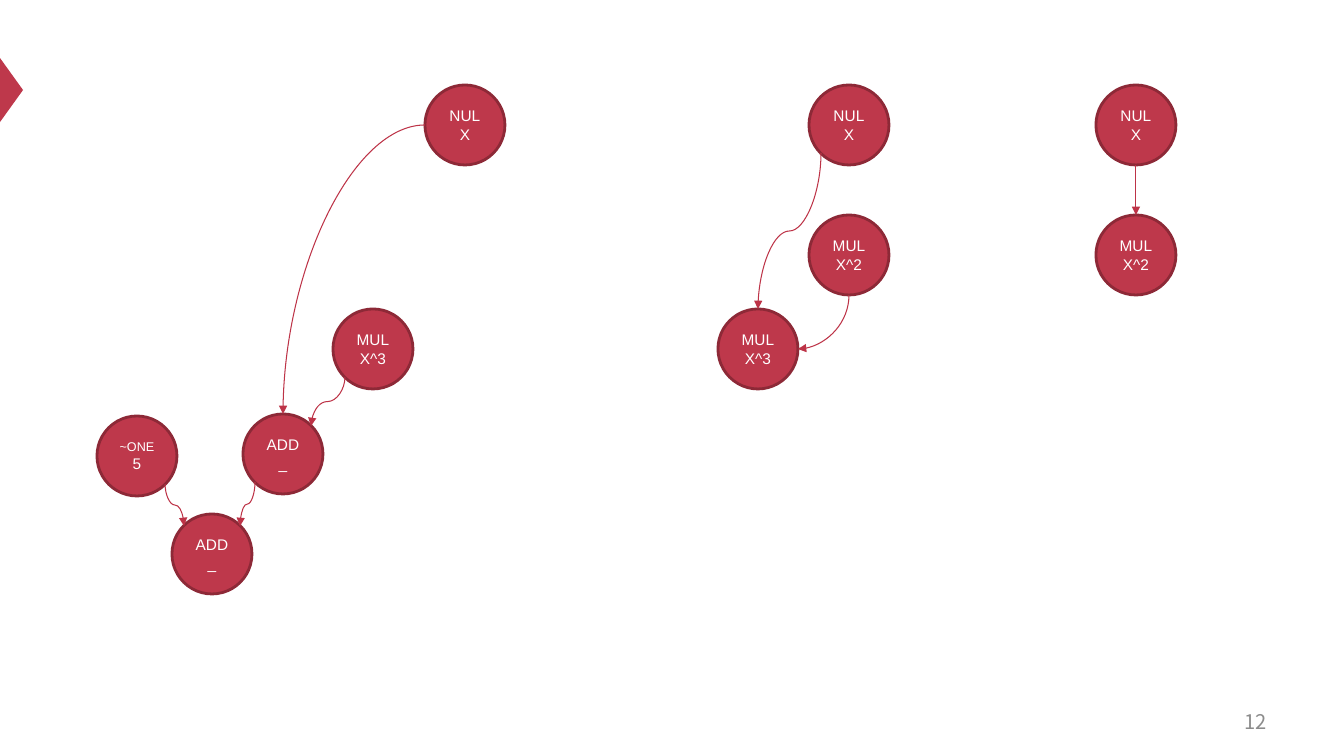
from dataclasses import dataclass

from lxml.etree import SubElement
from pptx import Presentation
from pptx.dml.color import RGBColor
from pptx.enum.shapes import MSO_CONNECTOR, MSO_SHAPE
from pptx.enum.text import MSO_ANCHOR, PP_ALIGN
from pptx.oxml.ns import qn
from pptx.util import Emu, Pt


@dataclass(frozen=True)
class Theme:
    node: str = "BE384B"
    rim: str = "8D2937"
    edge: str = "BD3347"
    label: str = "FFFFFF"
    page: str = "8C8C8C"
    label_font: str = "Arial"
    page_font: str = "Noto Sans CJK SC"
    label_size: float = 11
    small_size: float = 9
    page_size: float = 14.4
    rim_width: float = 2
    edge_width: float = 0.75


THEME = Theme()
EMU_PER_PX = 914400 / 100.8
DIAMETER, DIAGONAL = 80, 28
RADIUS = DIAMETER // 2

# Connection sites of an ellipse: index and offset from its centre
SITES = {
    "top": (0, 0, -RADIUS),
    "left": (2, -RADIUS, 0),
    "bottom_left": (3, -DIAGONAL, DIAGONAL),
    "bottom": (4, 0, RADIUS),
    "bottom_right": (5, DIAGONAL, DIAGONAL),
    "right": (6, RADIUS, 0),
    "top_left": (1, -DIAGONAL, -DIAGONAL),
    "top_right": (7, DIAGONAL, -DIAGONAL),
}


def px(length):
    return Emu(round(length * EMU_PER_PX))


def color(code):
    return RGBColor.from_string(code)


def write(shape, lines, sizes, font, ink, align=PP_ALIGN.CENTER, inset=0):
    frame = shape.text_frame
    frame.word_wrap = True
    frame.vertical_anchor = MSO_ANCHOR.MIDDLE
    frame.margin_left = frame.margin_right = px(inset)
    frame.margin_top = frame.margin_bottom = 0
    frame.text = "\n".join(lines)
    for paragraph, size in zip(frame.paragraphs, sizes):
        paragraph.alignment = align
        run_font = paragraph.runs[0].font
        run_font.name = font
        run_font.size = Pt(size)
        run_font.color.rgb = color(ink)


def add_filled(slide, preset, left, top, width, height):
    shape = slide.shapes.add_shape(preset, px(left), px(top), px(width), px(height))
    shape.shadow.inherit = False
    shape.fill.solid()
    shape.fill.fore_color.rgb = color(THEME.node)
    shape.line.fill.background()
    return shape


def add_node(slide, left, top, operation, value, size=THEME.label_size):
    node = add_filled(slide, MSO_SHAPE.OVAL, left, top, DIAMETER, DIAMETER)
    node.line.color.rgb = color(THEME.rim)
    node.line.width = Pt(THEME.rim_width)
    write(node, [operation, value], [size, THEME.label_size],
          THEME.label_font, THEME.label)
    return node


def add_edge(slide, nodes, places, source, source_site, target, target_site):
    start_index, start_dx, start_dy = SITES[source_site]
    end_index, end_dx, end_dy = SITES[target_site]
    x1, y1 = places[source][0] + RADIUS + start_dx, places[source][1] + RADIUS + start_dy
    x2, y2 = places[target][0] + RADIUS + end_dx, places[target][1] + RADIUS + end_dy
    edge = slide.shapes.add_connector(MSO_CONNECTOR.CURVE, 0, 0, 0, 0)

    # Glue both ends to the nodes
    edge.begin_connect(nodes[source], 0)
    edge.end_connect(nodes[target], 0)
    for tag, index in (("stCxn", start_index), ("endCxn", end_index)):
        edge._element.xpath(f".//a:{tag}")[0].set("idx", str(index))

    # A curve leaves sideways by default, so turn it to leave downwards
    xfrm = edge._element.spPr.find(qn("a:xfrm"))
    for flip in ("flipH", "flipV"):
        xfrm.attrib.pop(flip, None)
    width, height = abs(x2 - x1), abs(y2 - y1)
    if source_site == "left":
        turn, flip = 180, "flipV"
    else:
        width, height = height, width
        turn, flip = (270, "flipH") if x2 > x1 else (90, None)
    xfrm.set("rot", str(turn * 60000))
    if flip:
        xfrm.set(flip, "1")
    edge.left, edge.top = px((x1 + x2 - width) / 2), px((y1 + y2 - height) / 2)
    edge.width, edge.height = px(width), px(height)
    if "left" == source_site or "right" == target_site:
        edge._element.spPr.find(qn("a:prstGeom")).set("prst", "curvedConnector2")

    # Line, arrowhead and no shadow
    edge.line.color.rgb = color(THEME.edge)
    edge.line.width = Pt(THEME.edge_width)
    SubElement(edge.line._get_or_add_ln(), qn("a:tailEnd"), type="triangle")
    SubElement(edge._element.spPr, qn("a:effectLst"))


def add_graph(slide, left, top, node_rows, edge_rows):
    places, nodes = {}, {}
    for name, dx, dy, *label in node_rows:
        places[name] = (left + dx, top + dy)
        nodes[name] = add_node(slide, *places[name], *label)
    for row in edge_rows:
        add_edge(slide, nodes, places, *row)


def add_marker(slide, left, top, width, height):
    # Upright triangle turned a quarter to point right
    marker = add_filled(slide, MSO_SHAPE.ISOSCELES_TRIANGLE,
                        left + (width - height) / 2, top + (height - width) / 2,
                        height, width)
    marker.rotation = 90


def add_page_number(slide, left, top, width, height):
    page = slide.shapes.add_textbox(px(left), px(top), px(width), px(height))
    write(page, ["12"], [THEME.page_size], THEME.page_font, THEME.page,
          align=PP_ALIGN.RIGHT, inset=10)


SUM_NODES = [
    ("x", 328, 0, "NUL", "X"),
    ("cube", 236, 224, "MUL", "X^3"),
    ("inner_sum", 146, 329, "ADD", "_"),
    ("five", 0, 331, "~ONE", "5", THEME.small_size),
    ("total", 75, 429, "ADD", "_"),
]
SUM_EDGES = [
    ("cube", "bottom_left", "inner_sum", "top_right"),
    ("x", "left", "inner_sum", "top"),
    ("five", "bottom_right", "total", "top_left"),
    ("inner_sum", "bottom_left", "total", "top_right"),
]
CUBE_NODES = [
    ("x", 91, 0, "NUL", "X"),
    ("square", 91, 130, "MUL", "X^2"),
    ("cube", 0, 224, "MUL", "X^3"),
]
CUBE_EDGES = [
    ("square", "bottom", "cube", "right"),
    ("x", "bottom_left", "cube", "top"),
]
SQUARE_NODES = [("x", 0, 0, "NUL", "X"), ("square", 0, 130, "MUL", "X^2")]
SQUARE_EDGES = [("x", "bottom", "square", "top")]


presentation = Presentation()
presentation.slide_width, presentation.slide_height = px(1344), px(756)
slide = presentation.slides.add_slide(presentation.slide_layouts[6])

add_marker(slide, 0, 58, 23, 64)
add_page_number(slide, 964, 701, 313, 40)
add_graph(slide, 97, 85, SUM_NODES, SUM_EDGES)
add_graph(slide, 1096, 85, SQUARE_NODES, SQUARE_EDGES)
add_graph(slide, 718, 85, CUBE_NODES, CUBE_EDGES)

presentation.save("out.pptx")
